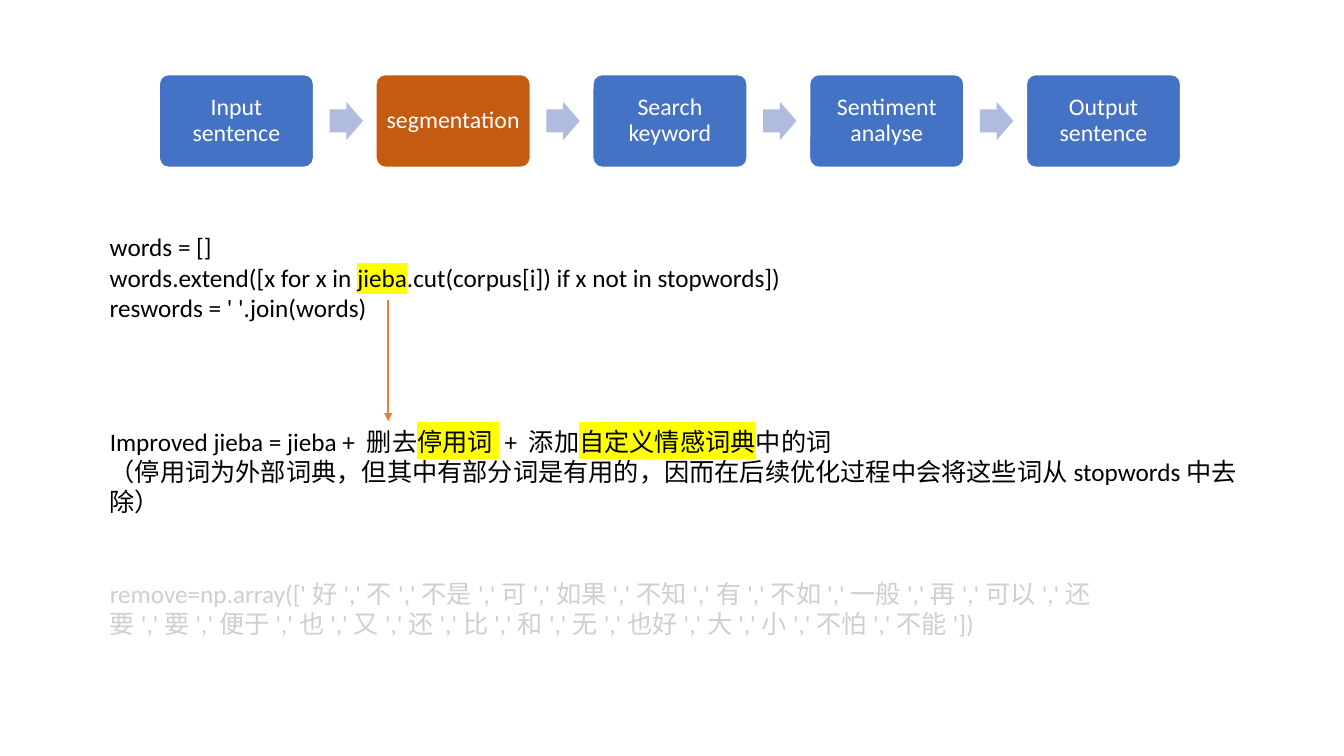
from lxml import etree
from pptx import Presentation
from pptx.dml.color import RGBColor
from pptx.enum import shapes, text
from pptx.oxml import ns
from pptx.util import Inches, Pt

STEPS = ["Input sentence", "segmentation", "Search keyword",
         "Sentiment analyse", "Output sentence"]
CURRENT_STEP = "segmentation"
STEP_LEFT, STEP_PITCH = 1.58, 2.15

CODE = [
    [("words = []", False)],
    [("words.extend([x for x in ", False), ("jieba", True),
     (".cut(corpus[i]) if x not in stopwords])", False)],
    [("reswords = ' '.join(words)", False)],
]
IMPROVEMENT = [
    [("Improved jieba = jieba + 删去", False), ("停用词 ", True),
     ("+ 添加", False), ("自定义情感词典", True), ("中的词", False)],
    [("（停用词为外部词典，但其中有部分词是有用的，因而在后续优化过程中"
      "会将这些词从stopwords中去除）", False)],
]
REMOVED_WORDS = ("好 不 不是 可 如果 不知 有 不如 一般 再 可以 还要 要 便于 "
                 "也 又 还 比 和 无 也好 大 小 不怕 不能").split()


def color(value):
    return RGBColor.from_string(value)


def style_font(paragraph, size, value):
    paragraph.font.name = "Calibri"
    paragraph.font.size = Pt(size)
    paragraph.font.color.rgb = color(value)


def add_block(slide, kind, left, top, width, height, fill):
    block = slide.shapes.add_shape(kind, Inches(left), Inches(top),
                                   Inches(width), Inches(height))
    block.shadow.inherit = False
    block.fill.solid()
    block.fill.fore_color.rgb = color(fill)
    return block


def add_step(slide, left, label):
    fill = "C55A11" if label == CURRENT_STEP else "4472C4"
    step = add_block(slide, shapes.MSO_SHAPE.ROUNDED_RECTANGLE,
                     left, 0.74, 1.53, 0.92, fill)
    step.adjustments[0] = 0.1
    step.line.color.rgb = color("FFFFFF")
    step.line.width = Pt(1)
    frame = step.text_frame
    frame.word_wrap = True
    frame.vertical_anchor = text.MSO_ANCHOR.MIDDLE
    frame.margin_left = frame.margin_right = Inches(0.04)
    frame.margin_top = frame.margin_bottom = Inches(0.09)
    paragraph = frame.paragraphs[0]
    paragraph.text = label
    paragraph.alignment = text.PP_ALIGN.CENTER
    paragraph.line_spacing = 0.9
    style_font(paragraph, 17, "FFFFFF")


def add_step_arrow(slide, left):
    arrow = add_block(slide, shapes.MSO_SHAPE.RIGHT_ARROW,
                      left, 1.01, 0.33, 0.38, "B0BCDE")
    arrow.adjustments[0] = 0.6
    arrow.adjustments[1] = 0.5
    arrow.line.fill.background()


def highlight(run):
    mark = etree.SubElement(run.font._element, ns.qn("a:highlight"))
    etree.SubElement(mark, ns.qn("a:srgbClr"), val="FFFF00")


def add_note(slide, top, width, height, lines, value="000000"):
    note = slide.shapes.add_textbox(Inches(0.99), Inches(top),
                                    Inches(width), Inches(height))
    frame = note.text_frame
    frame.word_wrap = True
    frame.auto_size = text.MSO_AUTO_SIZE.SHAPE_TO_FIT_TEXT
    for index, line in enumerate(lines):
        paragraph = frame.add_paragraph() if index else frame.paragraphs[0]
        style_font(paragraph, 18, value)
        for words, marked in line:
            run = paragraph.add_run()
            run.text = words
            if marked:
                highlight(run)


def add_pointer(slide, x, top, bottom):
    pointer = slide.shapes.add_connector(
        shapes.MSO_CONNECTOR.STRAIGHT,
        Inches(x), Inches(top), Inches(x), Inches(bottom))
    pointer.line.color.rgb = color("ED7D31")
    pointer.line.width = Pt(1.5)
    etree.SubElement(pointer.line._get_or_add_ln(), ns.qn("a:tailEnd"),
                     type="triangle")
    etree.SubElement(pointer._element.spPr, ns.qn("a:effectLst"))


def main():
    deck = Presentation()
    deck.slide_width, deck.slide_height = Inches(13.33), Inches(7.5)
    slide = deck.slides.add_slide(deck.slide_layouts[6])

    for index, label in enumerate(STEPS):
        left = STEP_LEFT + index * STEP_PITCH
        add_step(slide, left, label)
        if index < len(STEPS) - 1:
            add_step_arrow(slide, left + 1.69)

    add_note(slide, 2.25, 11.3, 1.01, CODE)
    add_note(slide, 4.18, 11.59, 0.71, IMPROVEMENT)
    quoted = ",".join(f"'{word}'" for word in REMOVED_WORDS)
    add_note(slide, 5.69, 10.18, 0.71,
             [[(f"remove=np.array([{quoted}])", False)]], "D0CECE")
    add_pointer(slide, 3.85, 2.98, 4.18)

    deck.save("out.pptx")


if __name__ == "__main__":
    main()
